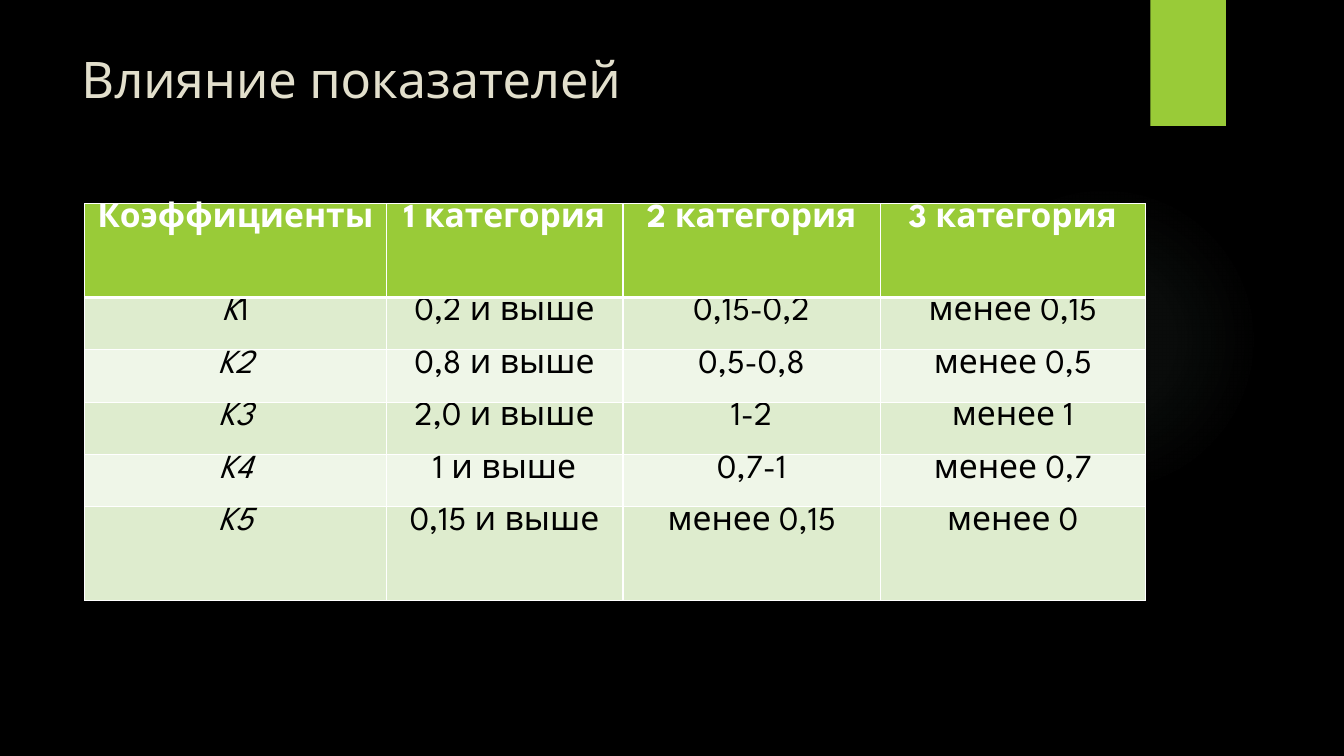
from dataclasses import dataclass

from lxml.etree import SubElement
from pptx import Presentation
from pptx.dml.color import RGBColor
from pptx.enum.shapes import MSO_SHAPE as Shape
from pptx.enum.text import MSO_ANCHOR as Anchor, PP_ALIGN as Align
from pptx.oxml import parse_xml
from pptx.oxml.ns import nsdecls, qn
from pptx.util import Inches, Pt


@dataclass(frozen=True)
class Theme:
    font: str = "League Spartan"
    background: str = "000000"
    accent: str = "99CB38"
    glow: str = "87A896"
    title: str = "E2DFCC"
    header: str = "FFFFFF"
    body: str = "000000"
    border: str = "FFFFFF"
    bands: tuple = ("DEECCE", "EFF6E8")
    title_size: int = 36
    table_size: int = 24


theme = Theme()


def style_run(run, size, color, bold=False, italic=False):
    font = run.font
    font.name, font.size = theme.font, Pt(size)
    font.bold, font.italic = bold, italic
    font.color.rgb = RGBColor.from_string(color)


def set_borders(cell, bottom_width):
    """Put the four border lines before the cell's fill, as the schema requires."""
    properties = cell._tc.get_or_add_tcPr()
    widths = {"lnL": 1, "lnR": 1, "lnT": 1, "lnB": bottom_width}
    for position, (side, width) in enumerate(widths.items()):
        line = SubElement(properties, qn(f"a:{side}"), w=str(Pt(width)))
        fill = SubElement(line, qn("a:solidFill"))
        SubElement(fill, qn("a:srgbClr"), val=theme.border)
        properties.insert(position, line)


presentation = Presentation()
presentation.slide_width, presentation.slide_height = Inches(13.33), Inches(7.5)
slide = presentation.slides.add_slide(presentation.slide_layouts[6])
slide.background.fill.solid()
slide.background.fill.fore_color.rgb = RGBColor.from_string(theme.background)

# Soft glow
glow = slide.shapes.add_shape(
    Shape.OVAL, Inches(9.41), Inches(1.83), Inches(3.08), Inches(3.08))
glow.shadow.inherit = False
glow.line.fill.background()
stops = "".join(
    f'<a:gs pos="{position * 1000}"><a:srgbClr val="{theme.glow}">'
    f'<a:alpha val="{alpha * 1000}"/></a:srgbClr></a:gs>'
    for position, alpha in ((0, 7), (36, 6), (69, 0), (100, 0)))
gradient = parse_xml(
    f'<a:gradFill {nsdecls("a")}><a:gsLst>{stops}</a:gsLst><a:path path="circle">'
    '<a:fillToRect l="50000" t="50000" r="50000" b="50000"/></a:path></a:gradFill>')
glow._element.spPr.find(qn("a:prstGeom")).addnext(gradient)

# Accent tab
tab = slide.shapes.add_shape(
    Shape.RECTANGLE, Inches(11.41), 0, Inches(0.75), Inches(1.25))
tab.shadow.inherit = False
tab.line.fill.background()
tab.fill.solid()
tab.fill.fore_color.rgb = RGBColor.from_string(theme.accent)

# Title
title = slide.shapes.add_textbox(Inches(0.71), Inches(0.5), Inches(10.29), Inches(0.97))
title.text_frame.word_wrap = True
title.text_frame.text = "Влияние показателей"
title_paragraph = title.text_frame.paragraphs[0]
title_paragraph.line_spacing = 0.9
style_run(title_paragraph.runs[0], theme.title_size, theme.title)

# Table of coefficients
column_widths = (2.99, 2.35, 2.55, 2.63)
row_heights = (0.93, 0.52, 0.52, 0.52, 0.52, 0.93)
rows = (
    ("Коэффициенты", "1 категория", "2 категория", "3 категория"),
    ("K", "0,2 и выше", "0,15-0,2", "менее 0,15"),
    ("K2", "0,8 и выше", "0,5-0,8", "менее 0,5"),
    ("K3", "2,0 и выше", "1-2", "менее 1"),
    ("K4", "1 и выше", "0,7-1", "менее 0,7"),
    ("K5", "0,15 и выше", "менее 0,15", "менее 0"),
)
table = slide.shapes.add_table(
    len(rows), len(column_widths), Inches(0.84), Inches(2.02),
    Inches(sum(column_widths)), Inches(sum(row_heights))).table
for column, width in zip(table.columns, column_widths):
    column.width = Inches(width)
for row, height in zip(table.rows, row_heights):
    row.height = Inches(height)

for row_index, texts in enumerate(rows):
    is_header = row_index == 0
    fill_color = theme.accent if is_header else theme.bands[(row_index - 1) % 2]
    text_color = theme.header if is_header else theme.body
    for column_index, text in enumerate(texts):
        cell = table.cell(row_index, column_index)
        cell.margin_left = cell.margin_right = Inches(0.07)
        cell.margin_top = cell.margin_bottom = 0
        cell.vertical_anchor = Anchor.TOP
        cell.fill.solid()
        cell.fill.fore_color.rgb = RGBColor.from_string(fill_color)
        set_borders(cell, 3 if is_header else 1)
        cell.text_frame.text = text
        paragraph = cell.text_frame.paragraphs[0]
        paragraph.alignment = Align.CENTER
        style_run(paragraph.runs[0], theme.table_size, text_color, bold=is_header,
                  italic=column_index == 0 and not is_header)

# The first coefficient has an upright digit
digit = table.cell(1, 0).text_frame.paragraphs[0].add_run()
digit.text = "1"
style_run(digit, theme.table_size, theme.body)

presentation.save("out.pptx")
